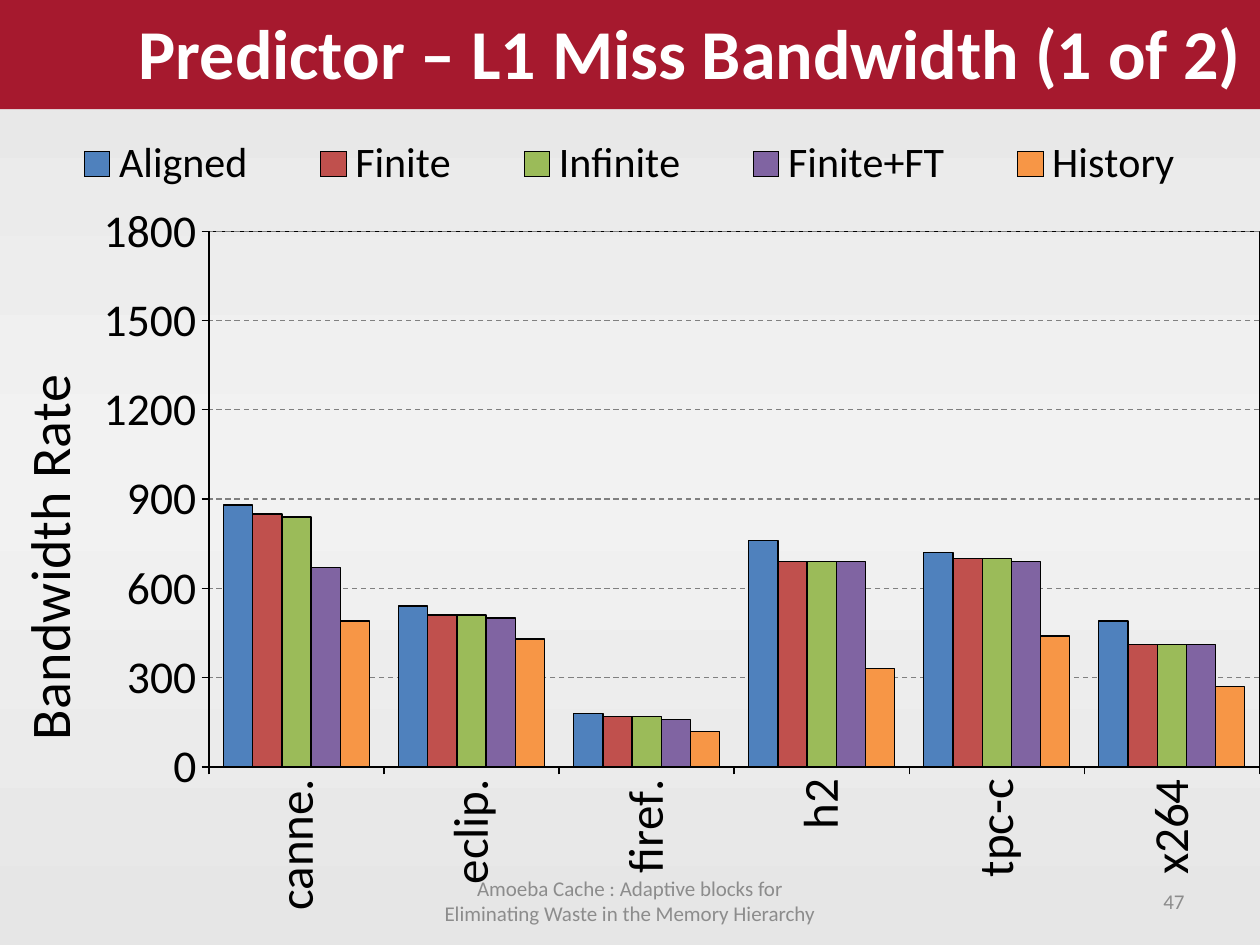
from copy import deepcopy

from lxml import etree
from pptx import Presentation
from pptx.chart.data import CategoryChartData
from pptx.dml.color import RGBColor
from pptx.enum.chart import XL_CHART_TYPE, XL_LEGEND_POSITION, XL_TICK_MARK
from pptx.enum.dml import MSO_LINE
from pptx.enum.text import MSO_ANCHOR, PP_ALIGN
from pptx.oxml.ns import qn
from pptx.util import Pt

COLUMN = XL_CHART_TYPE.COLUMN_CLUSTERED
TOP = XL_LEGEND_POSITION.TOP
OUTSIDE, NO_TICK = XL_TICK_MARK.OUTSIDE, XL_TICK_MARK.NONE
DASH = MSO_LINE.DASH
MIDDLE = MSO_ANCHOR.MIDDLE
LEFT, CENTER, RIGHT = PP_ALIGN.LEFT, PP_ALIGN.CENTER, PP_ALIGN.RIGHT

FONT = "Calibri"
VERTICAL = "-5400000"
COLORS = {
    "edge": "E6E6E6", "middle": "F2F2F2", "banner": "A6192E",
    "white": "FFFFFF", "black": "000000", "footer": "8C8C8C", "grid": "808080",
    "Aligned": "4F81BD", "Finite": "C0504D", "Infinite": "9BBB59",
    "Finite+FT": "8064A2", "History": "F79646",
}
BENCHMARKS = ["canne.", "eclip.", "firef.", "h2", "tpc-c", "x264"]
BANDWIDTH = {
    "Aligned": [880, 540, 180, 760, 720, 490],
    "Finite": [850, 510, 170, 690, 700, 410],
    "Infinite": [840, 510, 170, 690, 700, 410],
    "Finite+FT": [670, 500, 160, 690, 690, 410],
    "History": [490, 430, 120, 330, 440, 270],
}


def rgb(name):
    return RGBColor.from_string(COLORS[name])


def style_font(font, size, color="black", bold=False):
    font.name, font.size, font.bold = FONT, Pt(size), bold
    font.color.rgb = rgb(color)


def write_text(frame, text, size=12, color="black", bold=False, align=LEFT):
    frame.word_wrap = True
    frame.vertical_anchor = MIDDLE
    paragraph = frame.paragraphs[0]
    paragraph.alignment = align
    run = paragraph.add_run()
    run.text = text
    style_font(run.font, size, color, bold)


def style_line(line, color="black", width=0.75):
    line.color.rgb = rgb(color)
    line.width = Pt(width)


def chart_layout(x, y, w, h, inner=False):
    """Return a manual layout in fractions of the chart."""
    layout = etree.Element(qn("c:layout"))
    manual = etree.SubElement(layout, qn("c:manualLayout"))
    values = {"layoutTarget": "inner"} if inner else {}
    values.update(xMode="edge", yMode="edge", x=x, y=y, w=w, h=h)
    for tag, value in values.items():
        etree.SubElement(manual, qn(f"c:{tag}")).set("val", str(value))
    return layout


def set_layout(parent, layout, after=None):
    for old in parent.findall(qn("c:layout")):
        parent.remove(old)
    position = 0 if after is None else parent.index(parent.find(qn(after))) + 1
    parent.insert(position, layout)


class SlideBuilder:
    def __init__(self, slide):
        self.slide = slide

    def background(self):
        fill = self.slide.background.fill
        fill.gradient()
        fill.gradient_angle = 270
        first = next(self.slide.element.iter(qn("a:gs")))
        first.addnext(deepcopy(first))
        for stop, position, color in zip(
            fill.gradient_stops, (0, 0.5, 1), ("edge", "middle", "edge")
        ):
            stop.position = position
            stop.color.rgb = rgb(color)

    def title(self, text, left, top, width, height):
        shape = self.slide.shapes.title
        shape.left, shape.top = Pt(left), Pt(top)
        shape.width, shape.height = Pt(width), Pt(height)
        shape.fill.solid()
        shape.fill.fore_color.rgb = rgb("banner")
        shape.text_frame.margin_left = Pt(79.2)
        shape.text_frame.margin_right = 0
        write_text(shape.text_frame, text, size=40, color="white", bold=True)

    def text(self, text, left, top, width, height, **style):
        box = self.slide.shapes.add_textbox(Pt(left), Pt(top), Pt(width), Pt(height))
        write_text(box.text_frame, text, **style)

    def column_chart(self, categories, series, left, top, width, height):
        data = CategoryChartData(number_format="0")
        data.categories = categories
        for name, values in series.items():
            data.add_series(name, values)
        chart = self.slide.shapes.add_chart(
            COLUMN, Pt(left), Pt(top), Pt(width), Pt(height), data
        ).chart
        chart.has_title = False
        style_font(chart.font, 10)

        # Columns
        plot = chart.plots[0]
        plot.gap_width, plot.overlap = 100, 0
        plot.vary_by_categories = False
        for column in plot.series:
            column.format.fill.solid()
            column.format.fill.fore_color.rgb = rgb(column.name)
            style_line(column.format.line)

        # Legend
        chart.has_legend = True
        chart.legend.position = TOP
        chart.legend.include_in_layout = False
        style_font(chart.legend.font, 24)
        set_layout(chart.legend._element, chart_layout(0.02, 0.03, 0.96, 0.07), "c:legendPos")

        # Axes
        for axis, size in ((chart.category_axis, 28), (chart.value_axis, 26)):
            axis.major_tick_mark, axis.minor_tick_mark = OUTSIDE, NO_TICK
            style_font(axis.tick_labels.font, size)
            style_line(axis.format.line)
        labels = chart.category_axis._element.find(qn("c:txPr"))
        labels.find(qn("a:bodyPr")).set("rot", VERTICAL)
        axis = chart.value_axis
        axis.minimum_scale, axis.maximum_scale, axis.major_unit = 0, 1800, 300
        axis.tick_labels.number_format = "0"
        axis.tick_labels.number_format_is_linked = False
        style_line(axis.major_gridlines.format.line, "grid")
        axis.major_gridlines.format.line.dash_style = DASH
        frame = axis.axis_title.text_frame
        write_text(frame, "Bandwidth Rate", size=32, align=CENTER)
        frame._txBody.find(qn("a:bodyPr")).set("rot", VERTICAL)

        # Plot area with a black frame
        area = chart.plots[0]._element.getparent()
        set_layout(area, chart_layout(0.166, 0.146, 0.834, 0.641, inner=True))
        properties = etree.SubElement(area, qn("c:spPr"))
        etree.SubElement(properties, qn("a:noFill"))
        line = etree.SubElement(properties, qn("a:ln"), w=str(Pt(0.75)))
        fill = etree.SubElement(line, qn("a:solidFill"))
        etree.SubElement(fill, qn("a:srgbClr"), val=COLORS["black"])


def main():
    presentation = Presentation()
    presentation.slide_width, presentation.slide_height = Pt(720), Pt(540)
    builder = SlideBuilder(presentation.slides.add_slide(presentation.slide_layouts[5]))
    builder.background()

    # Footer
    builder.text(
        "Amoeba Cache : Adaptive blocks for Eliminating Waste in the Memory Hierarchy",
        246, 500.5, 228, 28.75, color="footer", align=CENTER,
    )
    builder.text("47", 516, 500.5, 168, 28.75, color="footer", align=RIGHT)

    # Banner and chart
    builder.title("Predictor – L1 Miss Bandwidth (1 of 2)", 0, -3.6, 720, 66)
    builder.column_chart(BENCHMARKS, BANDWIDTH, 0, 62.5, 720, 477.5)
    presentation.save("out.pptx")


if __name__ == "__main__":
    main()
